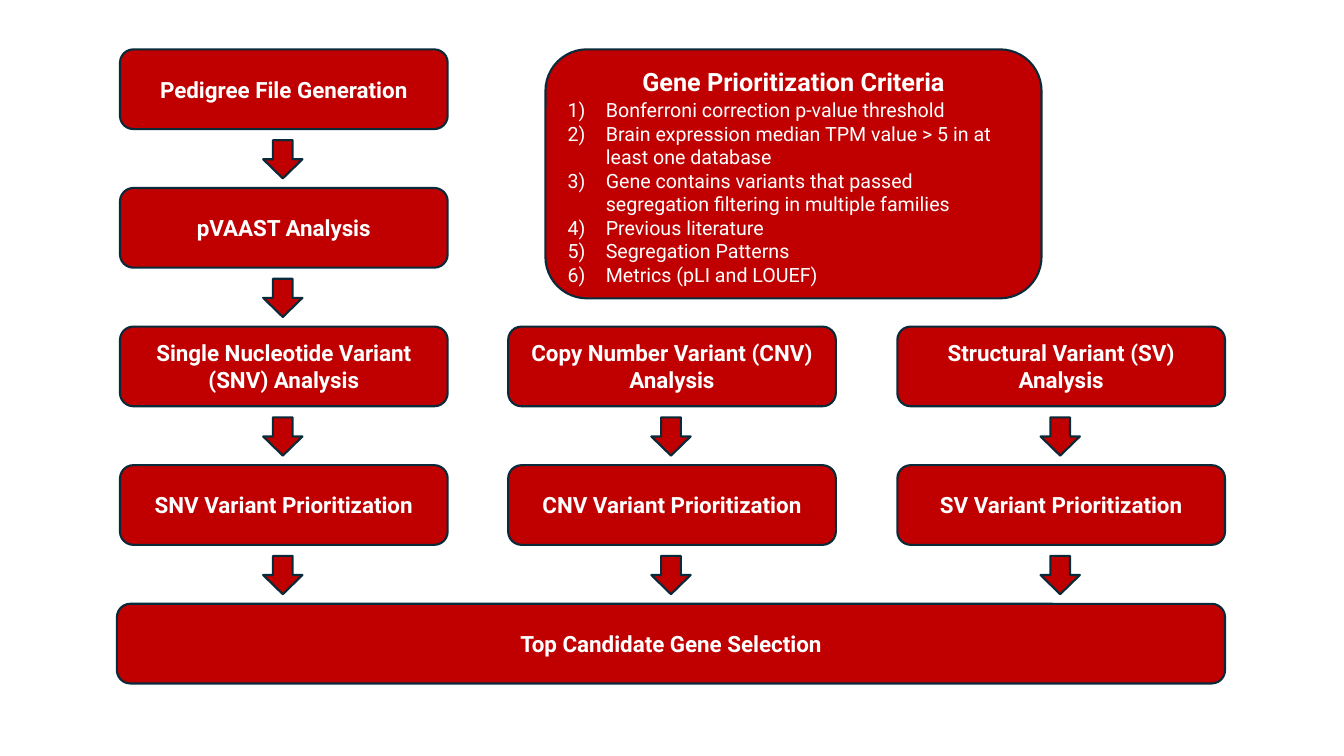
from pptx import Presentation
from pptx import util as u
from pptx.dml.color import RGBColor
from pptx.enum import shapes, text
from pptx.oxml import parse_xml
from pptx.oxml.ns import nsdecls

BOX_WIDTH, BOX_HEIGHT = 3.25, 0.79
ARROW_WIDTH, ARROW_HEIGHT, ARROW_DROP = 0.39, 0.38, 0.9
FIRST_TOP, LAST_TOP, ROW_COUNT = 0.49, 5.99, 5
ROW_PITCH = (LAST_TOP - FIRST_TOP) / (ROW_COUNT - 1)

COLUMNS = [
    (1.19, 0, ["Pedigree File Generation", "pVAAST Analysis",
               "Single Nucleotide Variant (SNV) Analysis",
               "SNV Variant Prioritization"]),
    (5.04, 2, ["Copy Number Variant (CNV) Analysis",
               "CNV Variant Prioritization"]),
    (8.9, 2, ["Structural Variant (SV) Analysis",
              "SV Variant Prioritization"]),
]

CRITERIA = [
    "Bonferroni correction p-value threshold",
    "Brain expression median TPM value > 5 in at least one database",
    "Gene contains variants that passed segregation filtering in multiple families",
    "Previous literature",
    "Segregation Patterns",
    "Metrics (pLI and LOUEF)",
]


def color(value):
    return RGBColor.from_string(value)


class Flowchart:
    font, fill, line, ink = "Roboto", "C00000", "092A39", "FFFFFF"

    def __init__(self, page):
        self.page = page

    def shape(self, kind, left, top, width, height):
        shape = self.page.shapes.add_shape(
            kind, *(u.Inches(value) for value in (left, top, width, height)))
        shape.shadow.inherit = False
        shape.fill.solid()
        shape.fill.fore_color.rgb = color(self.fill)
        shape.line.color.rgb = color(self.line)
        shape.line.width = u.Pt(1.5)
        return shape

    def format(self, paragraph, size, bold, align):
        paragraph.alignment = align
        for span in paragraph.runs:
            span.font.name = self.font
            span.font.size = u.Pt(size)
            span.font.bold = bold
            span.font.color.rgb = color(self.ink)

    def box(self, label, left, top, width=BOX_WIDTH, height=BOX_HEIGHT, size=16):
        box = self.shape(shapes.MSO_SHAPE.ROUNDED_RECTANGLE, left, top, width, height)
        frame = box.text_frame
        frame.word_wrap = True
        frame.vertical_anchor = text.MSO_ANCHOR.MIDDLE
        frame.text = label
        self.format(frame.paragraphs[0], size, True, text.PP_ALIGN.CENTER)
        return frame

    def arrow(self, left, top):
        self.shape(shapes.MSO_SHAPE.DOWN_ARROW, left, top, ARROW_WIDTH, ARROW_HEIGHT)

    def numbered(self, frame, items):
        for item in items:
            para = frame.add_paragraph()
            para.text = item
            self.format(para, 14, False, text.PP_ALIGN.LEFT)
            properties = para._p.get_or_add_pPr()
            indent = u.Inches(0.38)
            properties.set("marL", str(indent))
            properties.set("indent", str(-indent))
            properties.append(parse_xml(
                f'<a:buAutoNum {nsdecls("a")} type="arabicParenR"/>'))


deck = Presentation()
deck.slide_width, deck.slide_height = u.Inches(13.33), u.Inches(7.5)
chart = Flowchart(deck.slides.add_slide(deck.slide_layouts[6]))

for left, first_row, labels in COLUMNS:
    for row, label in enumerate(labels, first_row):
        top = FIRST_TOP + row * ROW_PITCH
        chart.box(label, left, top)
        chart.arrow(left + (BOX_WIDTH - ARROW_WIDTH) / 2 - 0.01, top + ARROW_DROP)

chart.box("Top Candidate Gene Selection", 1.16, LAST_TOP, width=10.99)

criteria = chart.box("Gene Prioritization Criteria", 5.41, FIRST_TOP, 4.92, 2.47, size=18)
criteria.vertical_anchor = text.MSO_ANCHOR.TOP
criteria.paragraphs[0].space_after = u.Pt(1)
chart.numbered(criteria, CRITERIA)

deck.save("out.pptx")
